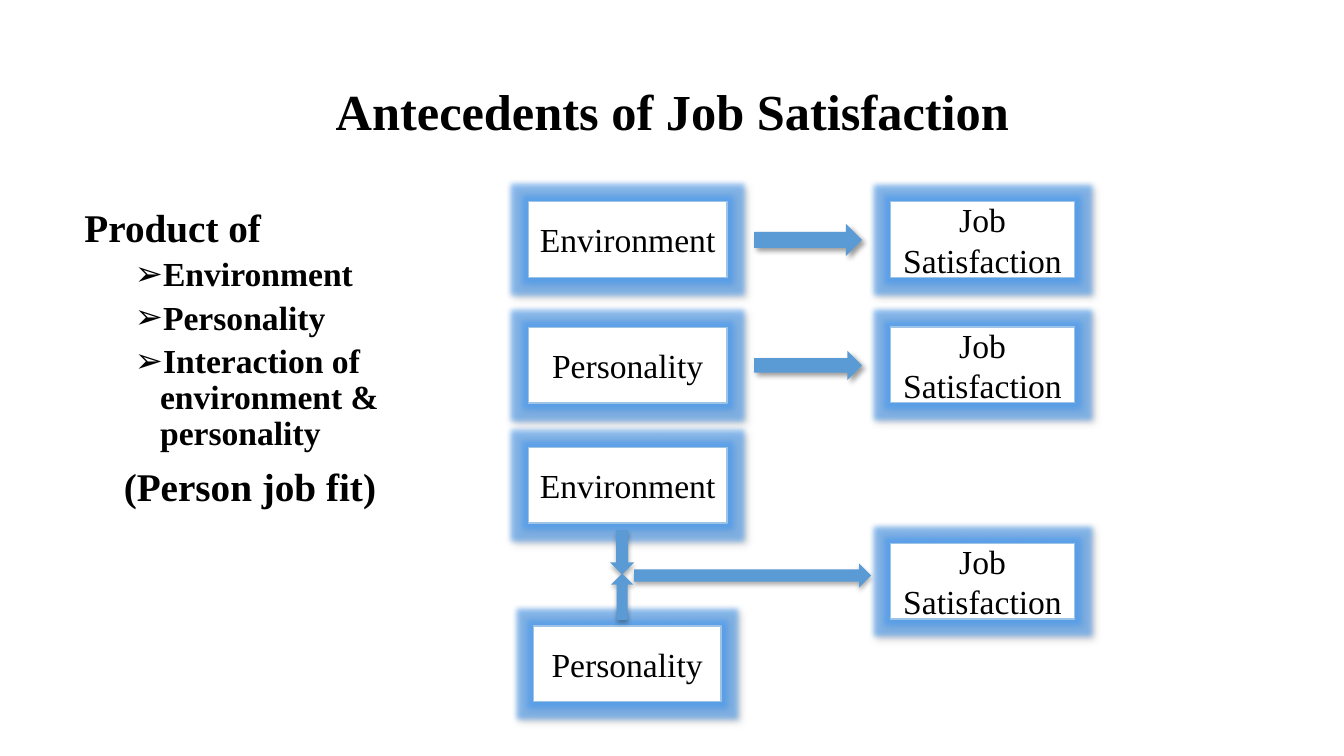
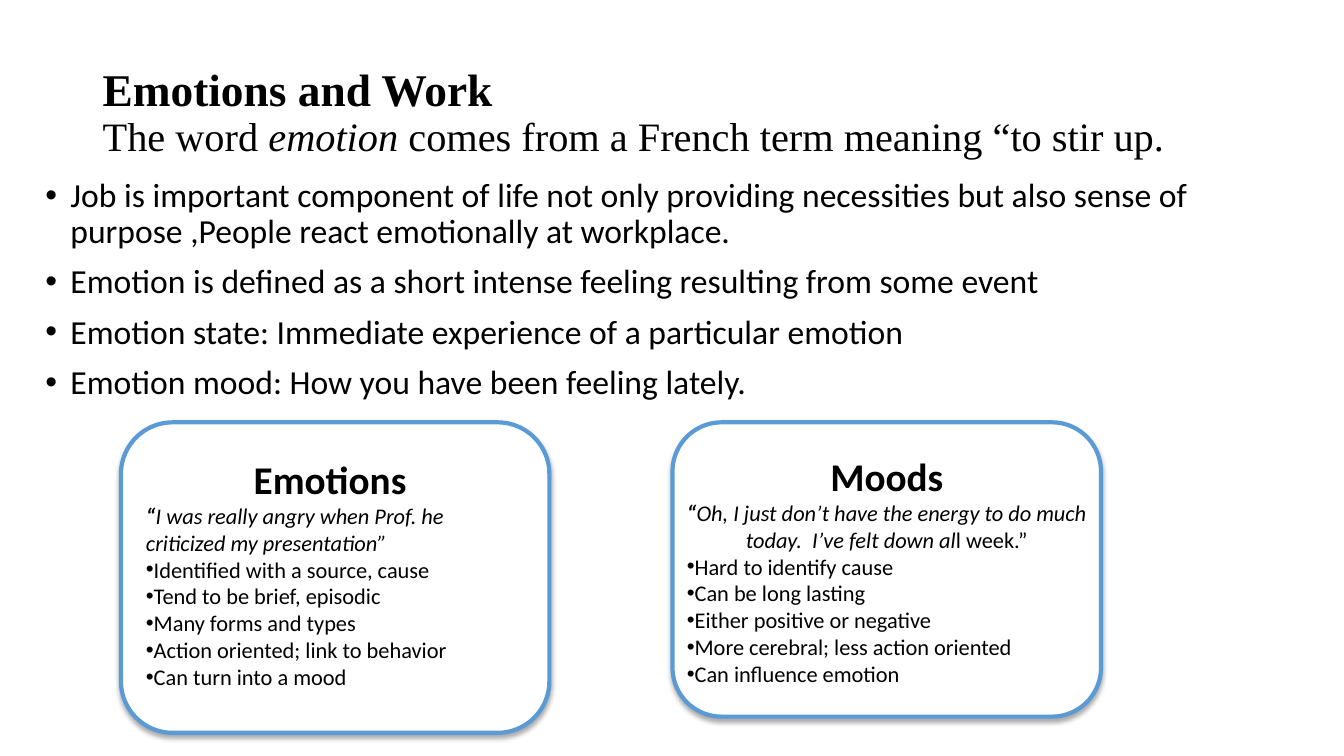
from dataclasses import dataclass

from lxml.etree import SubElement as Sub
from pptx import Presentation
from pptx.dml.color import RGBColor as Rgb
from pptx.enum.shapes import MSO_SHAPE as Kind
from pptx.enum.text import MSO_ANCHOR as Anchor, PP_ALIGN as Align
from pptx.oxml.ns import qn
from pptx.util import Inches, Pt


@dataclass(frozen=True)
class Theme:
    ink: str = "000000"
    paper: str = "FFFFFF"
    blue: str = "5B9BD5"
    pale: str = "9DC3E6"
    glow: str = "4A9BF0"
    serif: str = "Times New Roman"
    sans: str = "Calibri"
    title: float = 36
    head: float = 32.4
    lead: float = 28.8
    large: float = 28
    body: float = 24
    small: float = 16


@dataclass(frozen=True)
class Shade:
    alpha: int
    blur: float
    dist: float
    angle: int


@dataclass(frozen=True)
class Box:
    x: float
    y: float
    w: float
    h: float

    def area(self, x, y, w, h):
        """Return the box that takes these percentages of this one."""
        return Box(self.x + self.w * x / 100, self.y + self.h * y / 100,
                   self.w * w / 100, self.h * h / 100)

    def place(self):
        return [Inches(v) for v in (self.x, self.y, self.w, self.h)]


T = Theme()
PAGE = Box(0, 0, 13.33, 7.5)
TITLE = PAGE.area(6.9, 5.4, 86.27, 19.33)
SOFT = Shade(30, 4.5, 2.6, 53)
SLANT = Shade(40, 4, 3, 45)
DROP = Shade(32, 3.5, 2.2, 90)
INSET = (0.1, 0.05, 0.1, 0.05)


def para(*runs, **style):
    """Pair the runs, each (text, font settings), with a paragraph style."""
    return runs, style


def mark(par, left, first, sign):
    props = par._p.get_or_add_pPr()
    props.set("marL", str(Inches(left)))
    props.set("indent", str(Inches(first)))
    if sign:
        Sub(props, qn("a:buFont"), typeface="Arial")
        Sub(props, qn("a:buChar"), char=sign)


def write(shape, paras, face, anchor=Anchor.TOP, inset=INSET):
    frame = shape.text_frame
    frame.word_wrap = True
    frame.vertical_anchor = anchor
    (frame.margin_left, frame.margin_top,
     frame.margin_right, frame.margin_bottom) = map(Inches, inset)
    for i, (runs, style) in enumerate(paras):
        par = frame.paragraphs[0] if i == 0 else frame.add_paragraph()
        mark(par, style.get("left", 0), style.get("first", 0), style.get("sign"))
        par.alignment = style.get("align", Align.LEFT)
        par.line_spacing = style.get("line", 1.0)
        par.space_before = Pt(style.get("before", 0) if i else 0)
        for text, look in runs:
            if text == "\n":
                par.add_line_break()
                continue
            run = par.add_run()
            run.text = text
            font = run.font
            font.name, font.size = face, Pt(look["size"])
            font.bold = look.get("bold", False)
            font.italic = look.get("italic", False)
            font.color.rgb = Rgb.from_string(T.ink)


def tint(parent, color, alpha):
    node = Sub(parent, qn("a:srgbClr"), val=color)
    Sub(node, qn("a:alpha"), val=str(alpha * 1000))


def draw(slide, kind, box, fill, shade, line=None, width=1, glow=0):
    shape = slide.shapes.add_shape(kind, *box.place())
    shape.fill.solid()
    shape.fill.fore_color.rgb = Rgb.from_string(fill)
    if line:
        shape.line.color.rgb = Rgb.from_string(line)
        shape.line.width = Pt(width)
    else:
        shape.line.fill.background()
    shape.shadow.inherit = False
    fx = shape._element.spPr.find(qn("a:effectLst"))
    if glow:
        tint(Sub(fx, qn("a:glow"), rad=str(Pt(glow))), T.glow, 60)
    cast = Sub(fx, qn("a:outerShdw"), blurRad=str(Pt(shade.blur)),
               dist=str(Pt(shade.dist)), dir=str(shade.angle * 60000),
               algn="ctr", rotWithShape="0")
    tint(cast, T.ink, shade.alpha)
    return shape


def text(slide, box, paras, face, anchor=Anchor.TOP):
    write(slide.shapes.add_textbox(*box.place()), paras, face, anchor)


def title(slide, *runs, align=Align.LEFT):
    text(slide, TITLE, [para(*runs, align=align, line=0.9)], T.serif, Anchor.MIDDLE)


def factors(slide, box):
    big = dict(size=T.large, bold=True)
    mid = dict(size=T.body, bold=True)
    names = ("Environment", "Personality",
             "Interaction of environment & personality")
    text(slide, box, [
        para(("Product of", big), line=0.9),
        *(para((name, mid), left=0.75, first=-0.25, sign="➢", line=0.9, before=5)
          for name in names),
        para(("(Person job fit)", big), first=0.39, line=0.9, before=10),
    ], T.serif)


def model(slide, box):
    """Draw the three paths that lead to job satisfaction."""
    cause, effect = (0, 36.35), (66.24, 33.76)
    nodes = [
        ("Job Satisfaction", effect, 68.35),
        ("Personality", (0.92, 34.32), 84.88),
        ("Environment", cause, 49.19),
        ("Job Satisfaction", effect, 25.1),
        ("Personality", cause, 25.2),
        ("Job Satisfaction", effect, 0),
        ("Environment", cause, 0),
    ]
    for name, (x, w), y in nodes:
        node = draw(slide, Kind.RECTANGLE, box.area(x, y, w, 15.12),
                    T.paper, SOFT, T.pale, glow=8)
        label = para((name, dict(size=T.body)), align=Align.CENTER)
        write(node, [label], T.serif, Anchor.MIDDLE)

    arrows = [
        ((41.33, 4.44, 19.74, 6.45), 0, SLANT),
        ((19.37, 72.38, 43.36, 4.84), 0, DROP),
        ((41.33, 29.84, 19.74, 5.85), 0, SLANT),
        ((13.1, 67.74, 8.12, 4.84), 90, DROP),
        ((12.92, 76.81, 8.49, 4.44), 270, DROP),
    ]
    for spot, turn, shade in arrows:
        arrow = draw(slide, Kind.RIGHT_ARROW, box.area(*spot), T.blue, shade)
        arrow.rotation = turn


def points(slide, box, lines):
    text(slide, box, [
        para((line, dict(size=T.body)), left=0.25, first=-0.25, sign="•",
             line=0.9, before=10)
        for line in lines
    ], T.sans)


def card(slide, box, name, quote, traits, inset):
    shape = draw(slide, Kind.FLOWCHART_ALTERNATE_PROCESS, box,
                 T.paper, DROP, T.blue, 3)
    write(shape, [
        para((name, dict(size=T.large, bold=True)), align=Align.CENTER),
        quote,
        *(para((trait, dict(size=T.small)), sign="•") for trait in traits),
    ], T.sans, Anchor.MIDDLE, inset)


def causes(slide):
    title(slide, ("Antecedents of Job Satisfaction", dict(size=T.title, bold=True)),
          align=Align.CENTER)
    factors(slide, PAGE.area(5.55, 26.93, 27.38, 43.87))
    model(slide, PAGE.area(39.31, 26.67, 40.66, 66.13))


def feelings(slide):
    lead = dict(size=T.lead)
    title(slide,
          ("Emotions and Work", dict(size=T.head, bold=True)),
          ("\n", {}),
          ("The word ", lead),
          ("emotion", dict(size=T.lead, italic=True)),
          (" comes from a French term meaning “to stir up.", lead))
    points(slide, PAGE.area(2.63, 22.93, 90.55, 75.73), [
        "Job is important component of life not only providing necessities "
        "but also sense of purpose ,People react emotionally at workplace.",
        "Emotion is defined as a short intense feeling resulting from some event",
        "Emotion state: Immediate experience of a particular emotion",
        "Emotion mood: How you have been feeling lately.",
    ])
    said = dict(size=T.small, italic=True)
    quote = ("“", dict(said, bold=True))
    card(slide, PAGE.area(9, 55.87, 31.88, 41.07), "Emotions",
         para(quote,
              ("I was really angry when Prof. he criticized my presentation”", said)),
         ["Identified with a source, cause", "Tend to be brief, episodic",
          "Many forms and types", "Action oriented; link to behavior",
          "Can turn into a mood"],
         (0.1, 0, 0.2, 0.1))
    card(slide, PAGE.area(50.04, 55.87, 31.88, 38.93), "Moods",
         para(quote,
              ("Oh, I just don’t have the energy to do much today.  "
               "I’ve felt down al", said),
              ("l week.”", dict(size=T.small)), align=Align.CENTER),
         ["Hard to identify cause", "Can be long lasting",
          "Either positive or negative", "More cerebral; less action oriented",
          "Can influence emotion"],
         (0, 0, 0, 0))


def main():
    deck = Presentation()
    deck.slide_width, deck.slide_height = Inches(PAGE.w), Inches(PAGE.h)
    for build in (causes, feelings):
        build(deck.slides.add_slide(deck.slide_layouts[6]))
    deck.save("out.pptx")


if __name__ == "__main__":
    main()
